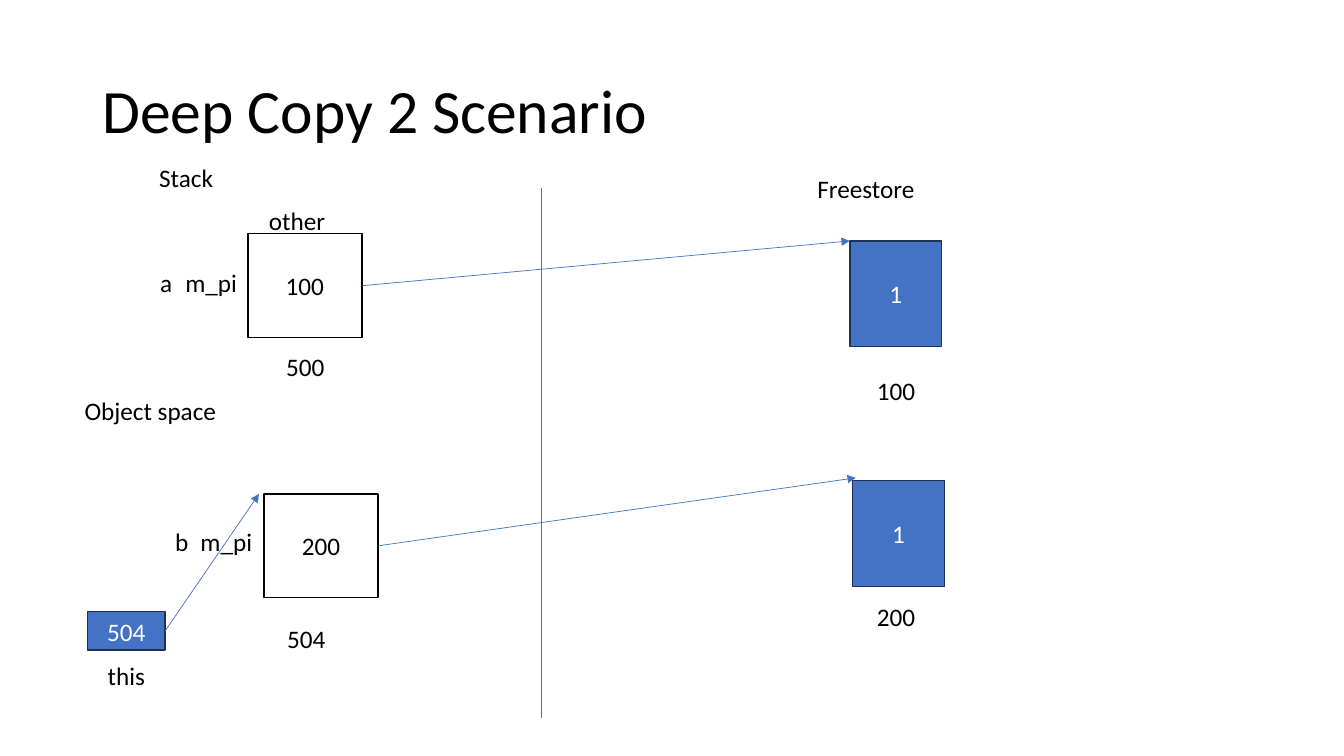
from lxml import etree
from pptx import Presentation
from pptx.dml.color import RGBColor
from pptx.enum.shapes import MSO_CONNECTOR, MSO_SHAPE
from pptx.enum.text import MSO_ANCHOR, MSO_AUTO_SIZE, PP_ALIGN
from pptx.oxml.ns import qn
from pptx.util import Pt

STRAIGHT, RECTANGLE = MSO_CONNECTOR.STRAIGHT, MSO_SHAPE.RECTANGLE
LEFT, CENTER, MIDDLE = PP_ALIGN.LEFT, PP_ALIGN.CENTER, MSO_ANCHOR.MIDDLE
FIT_SHAPE = MSO_AUTO_SIZE.SHAPE_TO_FIT_TEXT
RIGHT_SIDE = 3
COLORS = {"black": "000000", "white": "FFFFFF", "blue": "4472C4", "navy": "1E3256"}


def write(frame, text, size, color, align):
    frame.text = text
    paragraph = frame.paragraphs[0]
    paragraph.alignment = align
    font = paragraph.runs[0].font
    for attribute, value in {"name": "Calibri", "size": Pt(size)}.items():
        setattr(font, attribute, value)
    font.color.rgb = RGBColor.from_string(COLORS[color])
    return paragraph


def connect(x1, y1, x2, y2):
    connector = slide.shapes.add_connector(STRAIGHT, Pt(x1), Pt(y1), Pt(x2), Pt(y2))
    connector.line.color.rgb = RGBColor.from_string(COLORS["blue"])
    connector.line.width = Pt(0.5)
    etree.SubElement(connector._element.spPr, qn("a:effectLst"))
    return connector


deck = Presentation()
deck.slide_width, deck.slide_height = Pt(960), Pt(540)
slide = deck.slides.add_slide(deck.slide_layouts[5])

# Title
title = slide.shapes.title
title_box = {"left": 66, "top": 28.8, "width": 828, "height": 104.4}
for attribute, value in title_box.items():
    setattr(title, attribute, Pt(value))
title.text_frame.vertical_anchor = MIDDLE
write(title.text_frame, "Deep Copy 2 Scenario", 44, "black", LEFT).line_spacing = 0.9

# Divider between stack and freestore
connect(386.6, 134.6, 386.6, 512.6)

# Memory cells: text, left, top, width, height, fill, outline, text colour
stack_style = (81.4, 74.2, "white", "black", "black")
store_style = (65.5, 75.6, "blue", "navy", "white")
this_style = (55.4, 27.4, "blue", "navy", "white")
cells = {}
for owner, value, left, top, (width, height, fill, outline, ink) in [
    ("a", "100", 177.1, 167, stack_style),
    ("b", "200", 188.6, 352.8, stack_style),
    ("a target", "1", 607, 172.1, store_style),
    ("b target", "1", 609.1, 343.4, store_style),
    ("this", "504", 62.6, 437, this_style),
]:
    cell = slide.shapes.add_shape(RECTANGLE, Pt(left), Pt(top), Pt(width), Pt(height))
    cell.shadow.inherit = False
    cell.fill.solid()
    cell.fill.fore_color.rgb = RGBColor.from_string(COLORS[fill])
    cell.line.color.rgb = RGBColor.from_string(COLORS[outline])
    cell.line.width = Pt(1)
    cell.text_frame.vertical_anchor = MIDDLE
    write(cell.text_frame, value, 18, ink, CENTER)
    cells[owner] = cell

# Labels and addresses: text, left, top, width
for text, left, top, width in [
    ("Stack", 106.6, 112.3, 53.3),
    ("Freestore", 576.7, 120.2, 85),
    ("other", 185, 143.3, 55.4),
    ("a", 107.3, 187.2, 23),
    ("m_pi", 125.3, 187.2, 51.8),
    ("500", 197.3, 247.7, 42.5),
    ("100", 619.2, 264.2, 42.5),
    ("Object space", 53.3, 278.6, 109.4),
    ("b", 118.1, 372.2, 24.5),
    ("m_pi", 136.1, 372.2, 51.8),
    ("504", 198, 441.4, 42.5),
    ("200", 619.2, 426.2, 42.5),
    ("this", 69.8, 468, 41.8),
]:
    label = slide.shapes.add_textbox(Pt(left), Pt(top), Pt(width), Pt(29))
    label.text_frame.word_wrap = False
    label.text_frame.auto_size = FIT_SHAPE
    write(label.text_frame, text, 18, "black", LEFT)

# Pointers from each cell to the corner of the cell it addresses
for owner, tip_x, tip_y in [
    ("a", 607, 172.1),
    ("b", 611.3, 341.3),
    ("this", 185, 352.8),
]:
    pointer = connect(0, 0, tip_x, tip_y)
    pointer.begin_connect(cells[owner], RIGHT_SIDE)
    etree.SubElement(pointer.line._get_or_add_ln(), qn("a:tailEnd"), type="triangle")

deck.save("out.pptx")
